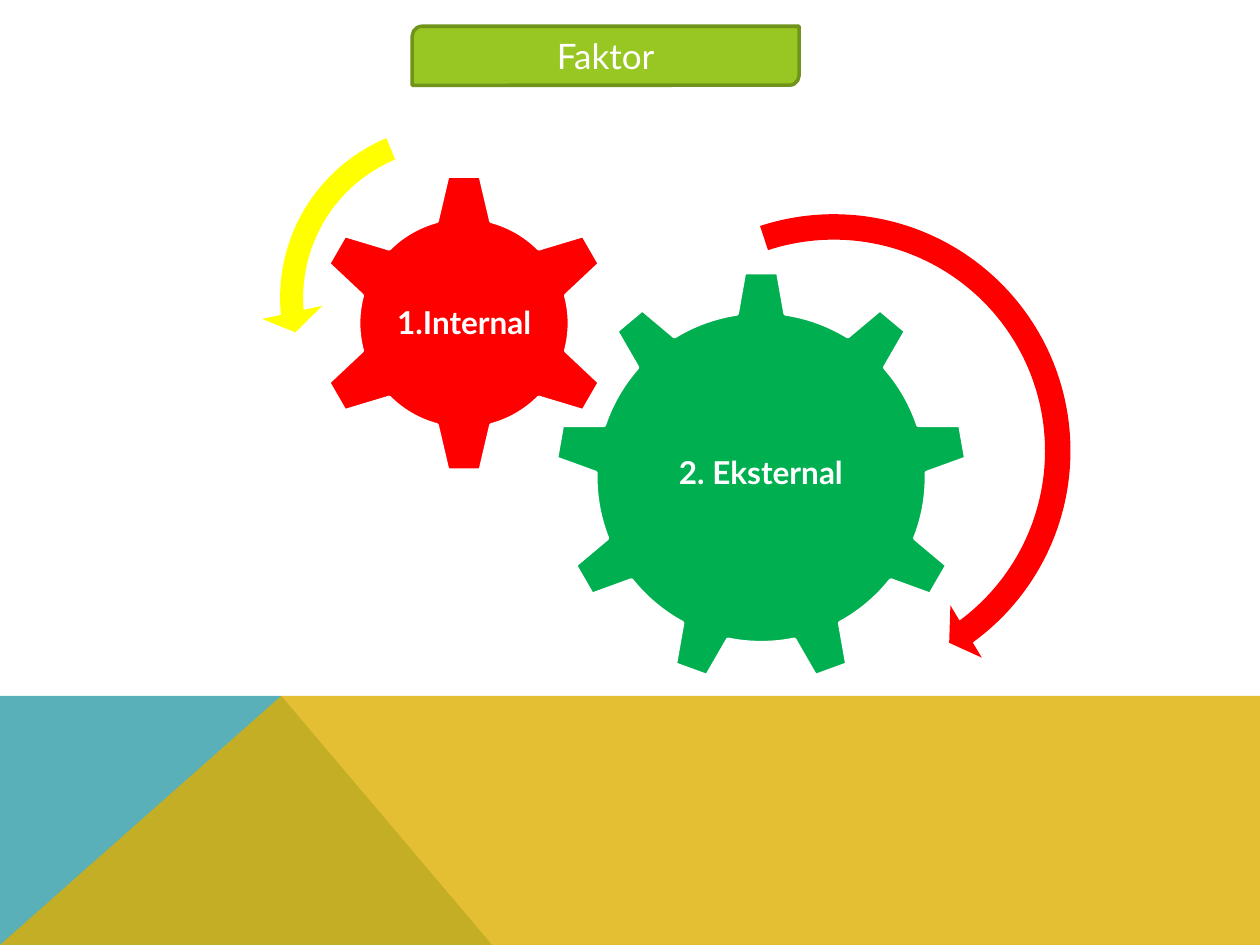
from lxml import etree
from pptx import Presentation
from pptx import util as u
from pptx.dml.color import RGBColor
from pptx.enum import shapes, text
from pptx.oxml.ns import qn

KIND = shapes.MSO_SHAPE


def tint(code):
    return RGBColor.from_string(code)


class Page:
    font = "Lato"
    white = "FFFFFF"

    def __init__(self, deck):
        self.slide = deck.slides.add_slide(deck.slide_layouts[6])

    def paint(self, item, fill, line=None):
        item.shadow.inherit = False
        item.fill.solid()
        item.fill.fore_color.rgb = tint(fill)
        if line:
            item.line.color.rgb = tint(line)
            item.line.width = u.Pt(2)
        else:
            item.line.fill.background()

    def shape(self, kind, box, fill, line=None, adj=()):
        item = self.slide.shapes.add_shape(kind, *map(u.Cm, box))
        for i, value in enumerate(adj):
            item.adjustments[i] = value
        self.paint(item, fill, line)
        return item

    def area(self, points, fill, alpha=None):
        dots = [(u.Cm(x), u.Cm(y)) for x, y in points]
        form = self.slide.shapes.build_freeform(*dots[0])
        form.add_line_segments(dots[1:], close=True)
        item = form.convert_to_shape()
        self.paint(item, fill)
        if alpha:
            color = item.fill._xPr.find(qn("a:solidFill"))[0]
            etree.SubElement(color, qn("a:alpha")).set("val", str(alpha * 1000))

    def letter(self, item, words, size, bold=False):
        frame = item.text_frame
        frame.word_wrap = True
        frame.vertical_anchor = text.MSO_ANCHOR.MIDDLE
        par = frame.paragraphs[0]
        par.text = words
        par.alignment = text.PP_ALIGN.CENTER
        par.font.name = self.font
        par.font.size = u.Pt(size)
        par.font.bold = bold
        par.font.color.rgb = tint(self.white)
        return frame

    def label(self, box, words):
        item = self.slide.shapes.add_textbox(*map(u.Cm, box))
        frame = self.letter(item, words, 18, True)
        frame.margin_left = frame.margin_right = u.Cm(0.08)
        frame.margin_top = frame.margin_bottom = u.Cm(0.08)
        frame.paragraphs[0].line_spacing = 0.9

    def gear(self, kind, box, fill, inner, words):
        self.shape(kind, box, fill, self.white)
        self.label(inner, words)


def main():
    deck = Presentation()
    wide, high = 25.4, 19.05
    deck.slide_width, deck.slide_height = u.Cm(wide), u.Cm(high)
    page = Page(deck)

    top, peak = 14.03, 5.67
    page.area([(0, high), (0, top), (peak, top), (9.92, high)], "59B0B9")
    page.area([(0, high), (peak, top), (wide, top), (wide, high)], "DEAE00", 80)

    page.gear(KIND.GEAR_9, (11.18, 5.46, 8.33, 8.33), "00B050",
              (12.85, 7.42, 4.98, 4.29), "2. Eksternal")
    page.gear(KIND.GEAR_6, (6.32, 3.48, 6.07, 6.07), "FF0000",
              (7.85, 5.03, 3.02, 3), "1.Internal")

    page.shape(KIND.CIRCULAR_ARROW, (11.68, 3.96, 10.26, 10.26), "FF0000",
               adj=(0.05, 3.13, 32.27, 151.11, 0.06))
    page.shape(KIND.LEFT_CIRCULAR_ARROW, (5.26, 2.13, 7.75, 7.75), "FFFF00",
               adj=(0.06, 4.3, 104.89, 148.38, 0.08))

    head = page.shape(KIND.ROUND_2_DIAG_RECTANGLE, (8.31, 0.53, 7.8, 1.19),
                      "98C723", "70931A")
    page.letter(head, "Faktor", 20)
    deck.save("out.pptx")


if __name__ == "__main__":
    main()
